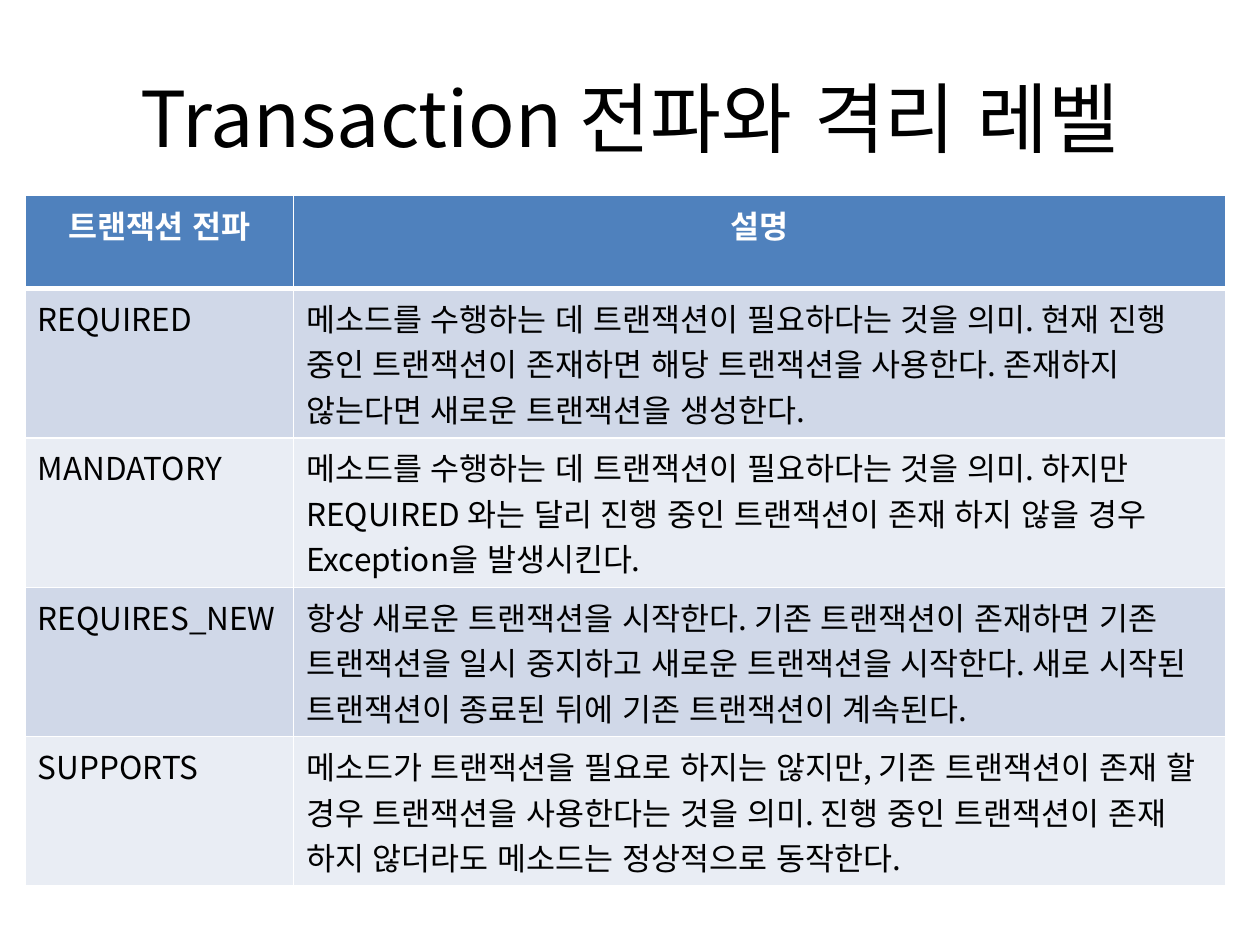
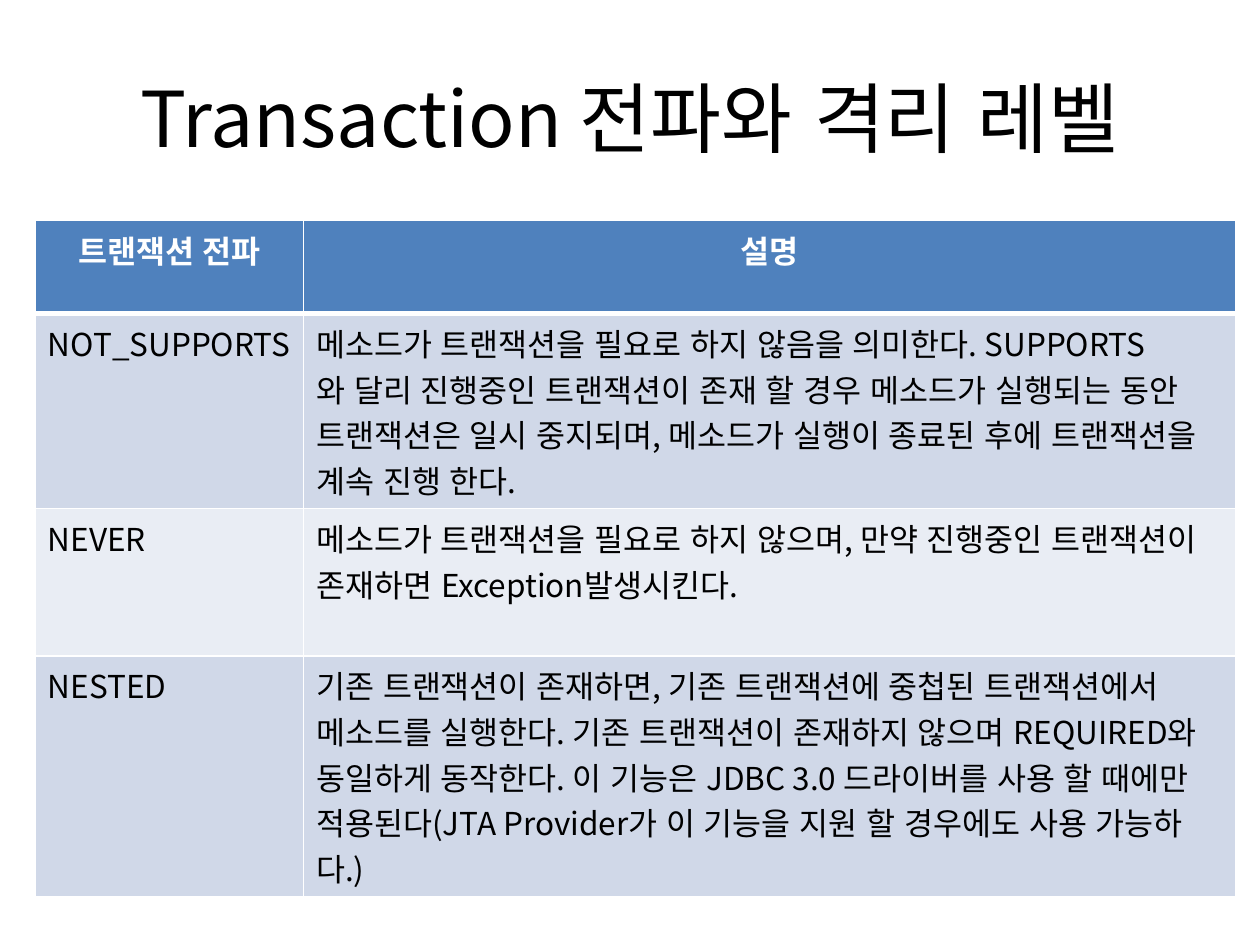
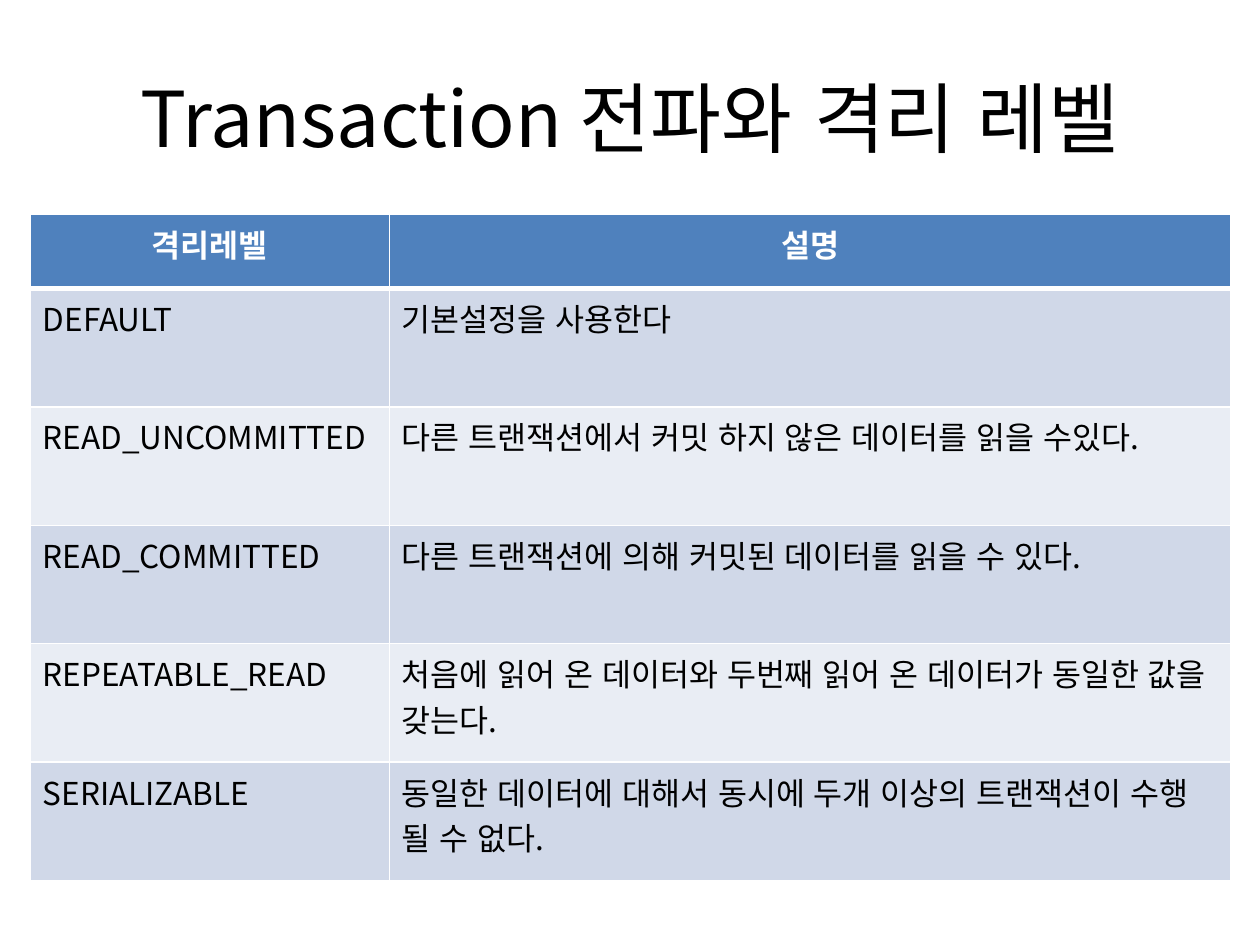
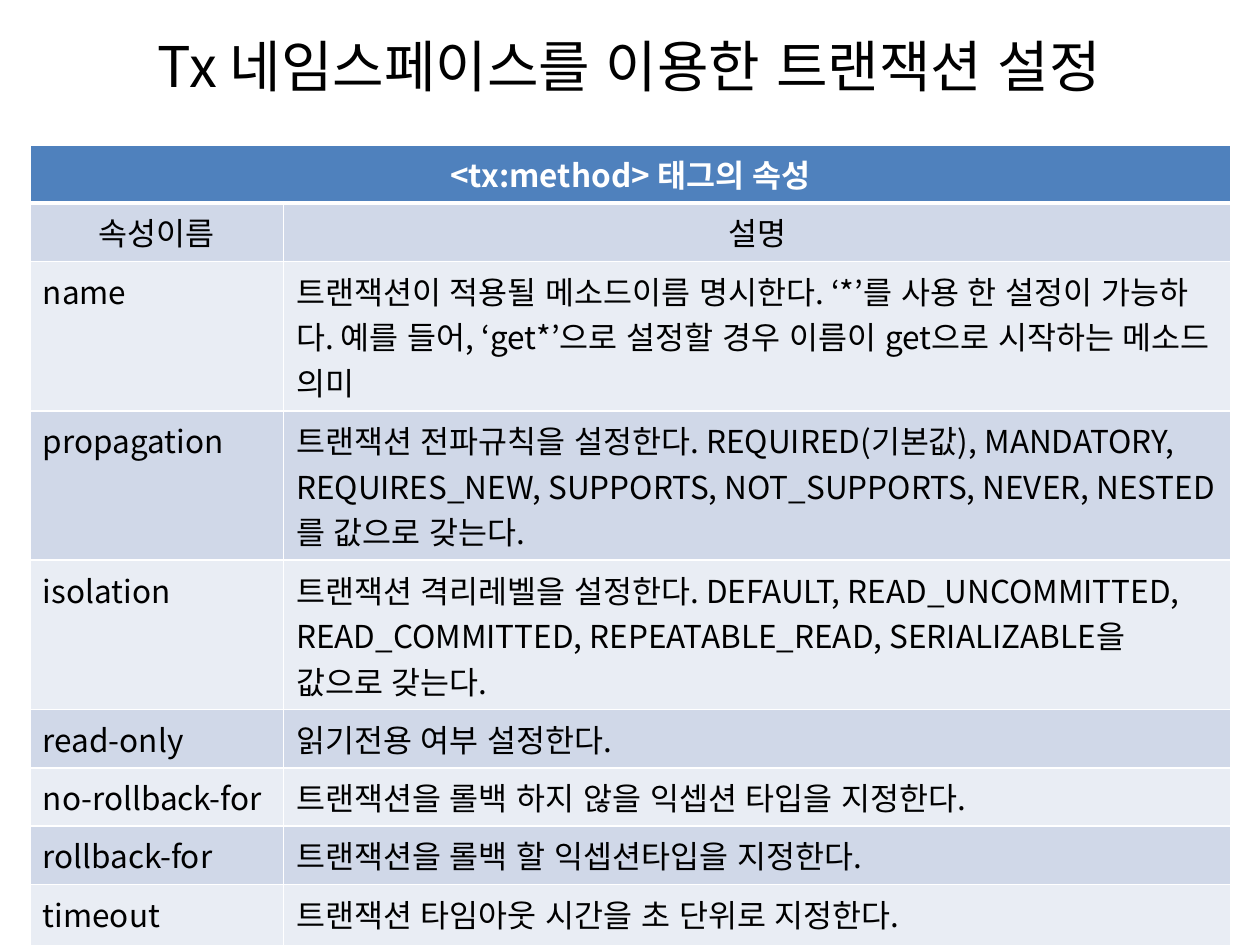
"""Build four slides on transaction propagation, isolation levels and tx:method attributes."""
from dataclasses import dataclass

from lxml import etree
from pptx import Presentation
from pptx import util as u
from pptx.dml.color import RGBColor
from pptx.enum import lang, text
from pptx.oxml.ns import qn

WIDTH, HEIGHT = u.Inches(10), u.Inches(7.5)
COLUMN, ROW = WIDTH / 100, HEIGHT / 75
FONT = "Noto Sans CJK KR"
TABLE_WIDTH = 95.3
HEADER_BLUE = RGBColor(0x4F, 0x81, 0xBD)
BANDS = (RGBColor(0xD0, 0xD8, 0xE8), RGBColor(0xE9, 0xED, 0xF4))
WHITE = RGBColor(0xFF, 0xFF, 0xFF)
BLACK = RGBColor(0, 0, 0)
THIN, THICK = 1, 3
LEVELS_TITLE = "Transaction 전파와 격리 레벨"


@dataclass(frozen=True)
class Style:
    size: float
    color: RGBColor = BLACK
    bold: bool = False
    centered: bool = False


HEADER = Style(18, WHITE, bold=True, centered=True)
SUBHEADER = Style(18, centered=True)
BODY = Style(18)


@dataclass(frozen=True)
class TableSlide:
    title: str
    left: float
    top: float
    name_width: float
    heights: tuple[float, ...]
    header: tuple[str, ...]
    rows: tuple[tuple[str, str], ...]
    title_size: float = 44
    title_top: float = 3
    subheader: bool = False


SLIDES = (
    TableSlide(
        LEVELS_TITLE, 2, 15.5, 21.3, (7.4,) + (11.7,) * 4,
        ("트랜잭션 전파", "설명"),
        (
            ("REQUIRED", "메소드를 수행하는 데 트랜잭션이 필요하다는 것을 의미. 현재 진행 중인 "
             "트랜잭션이 존재하면 해당 트랜잭션을 사용한다. 존재하지 않는다면 새로운 트랜잭션을 생성한다."),
            ("MANDATORY", "메소드를 수행하는 데 트랜잭션이 필요하다는 것을 의미. 하지만 REQUIRED 와는 "
             "달리 진행 중인 트랜잭션이 존재 하지 않을 경우 Exception을 발생시킨다."),
            ("REQUIRES_NEW", "항상 새로운 트랜잭션을 시작한다. 기존 트랜잭션이 존재하면 기존 트랜잭션을 "
             "일시 중지하고 새로운 트랜잭션을 시작한다. 새로 시작된 트랜잭션이 종료된 뒤에 기존 "
             "트랜잭션이 계속된다."),
            ("SUPPORTS", "메소드가 트랜잭션을 필요로 하지는 않지만, 기존 트랜잭션이 존재 할 경우 "
             "트랜잭션을 사용한다는 것을 의미. 진행 중인 트랜잭션이 존재 하지 않더라도 메소드는 "
             "정상적으로 동작한다."),
        ),
    ),
    TableSlide(
        LEVELS_TITLE, 2.8, 17.5, 21.3, (7.4,) + (11.7,) * 3,
        ("트랜잭션 전파", "설명"),
        (
            ("NOT_SUPPORTS", "메소드가 트랜잭션을 필요로 하지 않음을 의미한다. SUPPORTS\n"
             "와 달리 진행중인 트랜잭션이 존재 할 경우 메소드가 실행되는 동안 트랜잭션은 일시 "
             "중지되며, 메소드가 실행이 종료된 후에 트랜잭션을 계속 진행 한다."),
            ("NEVER", "메소드가 트랜잭션을 필요로 하지 않으며, 만약 진행중인 트랜잭션이 존재하면 "
             "Exception발생시킨다."),
            ("NESTED", "기존 트랜잭션이 존재하면, 기존 트랜잭션에 중첩된 트랜잭션에서 메소드를 "
             "실행한다. 기존 트랜잭션이 존재하지 않으며 REQUIRED와 동일하게 동작한다. 이 기능은 "
             "JDBC 3.0 드라이버를 사용 할 때에만 적용된다(JTA Provider가 이 기능을 지원 할 경우에도 "
             "사용 가능하다.)"),
        ),
    ),
    TableSlide(
        LEVELS_TITLE, 2.4, 17, 28.5, (5.9,) + (9.4,) * 5,
        ("격리레벨", "설명"),
        (
            ("DEFAULT", "기본설정을 사용한다"),
            ("READ_UNCOMMITTED", "다른 트랜잭션에서 커밋 하지 않은 데이터를 읽을 수있다."),
            ("READ_COMMITTED", "다른 트랜잭션에 의해 커밋된 데이터를 읽을 수 있다."),
            ("REPEATABLE_READ", "처음에 읽어 온 데이터와 두번째 읽어 온 데이터가 동일한 값을 갖는다."),
            ("SERIALIZABLE", "동일한 데이터에 대해서 동시에 두개 이상의 트랜잭션이 수행 될 수 없다."),
        ),
    ),
    TableSlide(
        "Tx 네임스페이스를 이용한 트랜잭션 설정", 2.4, 11.5, 20.1,
        (4.4,) * 2 + (9.6,) * 3 + (3.8, 4.5, 4.5, 7),
        ("<tx:method> 태그의 속성",),
        (
            ("속성이름", "설명"),
            ("name", "트랜잭션이 적용될 메소드이름 명시한다. ‘*’를 사용 한 설정이 가능하다. 예를 들어, "
             "‘get*’으로 설정할 경우 이름이 get으로 시작하는 메소드 의미"),
            ("propagation", "트랜잭션 전파규칙을 설정한다. REQUIRED(기본값), MANDATORY, REQUIRES_NEW, "
             "SUPPORTS, NOT_SUPPORTS, NEVER, NESTED 를 값으로 갖는다."),
            ("isolation", "트랜잭션 격리레벨을 설정한다. DEFAULT, READ_UNCOMMITTED, READ_COMMITTED, "
             "REPEATABLE_READ, SERIALIZABLE을 값으로 갖는다."),
            ("read-only", "읽기전용 여부 설정한다."),
            ("no-rollback-for", "트랜잭션을 롤백 하지 않을 익셉션 타입을 지정한다."),
            ("rollback-for", "트랜잭션을 롤백 할 익셉션타입을 지정한다."),
            ("timeout", "트랜잭션 타임아웃 시간을 초 단위로 지정한다."),
        ),
        title_size=32, title_top=-1.1, subheader=True,
    ),
)


def across(columns: float) -> u.Emu:
    return u.Emu(round(columns * COLUMN))


def down(rows: float) -> u.Emu:
    return u.Emu(round(rows * ROW))


def write(frame, content: str, style: Style) -> None:
    for index, line in enumerate(content.split("\n")):
        para = frame.add_paragraph() if index else frame.paragraphs[0]
        para.alignment = text.PP_ALIGN.CENTER if style.centered else text.PP_ALIGN.LEFT
        span = para.add_run()
        span.text = line
        font = span.font
        font.size, font.bold, font.name = u.Pt(style.size), style.bold, FONT
        font.color.rgb = style.color
        font.language_id = lang.MSO_LANGUAGE_ID.KOREAN
        etree.SubElement(span._r.get_or_add_rPr(), qn("a:ea"), typeface=FONT)


def draw_borders(cell, top: int, bottom: int) -> None:
    properties = cell._tc.get_or_add_tcPr()
    for side, points in (("L", THIN), ("R", THIN), ("T", top), ("B", bottom)):
        line = etree.SubElement(properties, qn(f"a:ln{side}"), w=str(u.Pt(points)))
        fill = etree.SubElement(line, qn("a:solidFill"))
        etree.SubElement(fill, qn("a:srgbClr"), val=str(WHITE))


def add_title(slide, spec_title: str, top: float, size: float) -> None:
    title = slide.shapes.title
    title.left, title.top = across(5), down(top)
    title.width, title.height = across(90), down(12.5)
    frame = title.text_frame
    frame.word_wrap = True
    frame.auto_size = text.MSO_AUTO_SIZE.NONE
    frame.vertical_anchor = text.MSO_ANCHOR.MIDDLE
    write(frame, spec_title, Style(size, centered=True))


def add_grid(slide, content: TableSlide) -> None:
    rows = (content.header, *content.rows)
    table = slide.shapes.add_table(
        len(rows), 2, across(content.left), down(content.top),
        across(TABLE_WIDTH), down(sum(content.heights)),
    ).table
    table.columns[0].width = across(content.name_width)
    table.columns[1].width = across(TABLE_WIDTH - content.name_width)
    for row, height in zip(table.rows, content.heights):
        row.height = down(height)
    if len(content.header) == 1:
        table.cell(0, 0).merge(table.cell(0, 1))
    for number, values in enumerate(rows):
        is_subheader = content.subheader and number == 1
        style = HEADER if number == 0 else SUBHEADER if is_subheader else BODY
        for cell in table.rows[number].cells:
            draw_borders(cell, THICK if number == 1 else THIN, THIN if number else THICK)
            cell.fill.solid()
            cell.fill.fore_color.rgb = BANDS[(number - 1) % 2] if number else HEADER_BLUE
        for column, value in enumerate(values):
            write(table.cell(number, column).text_frame, value, style)


def main() -> None:
    deck = Presentation()
    deck.slide_width, deck.slide_height = WIDTH, HEIGHT
    for content in SLIDES:
        page = deck.slides.add_slide(deck.slide_layouts[5])
        add_title(page, content.title, content.title_top, content.title_size)
        add_grid(page, content)
    deck.save("out.pptx")


if __name__ == "__main__":
    main()
